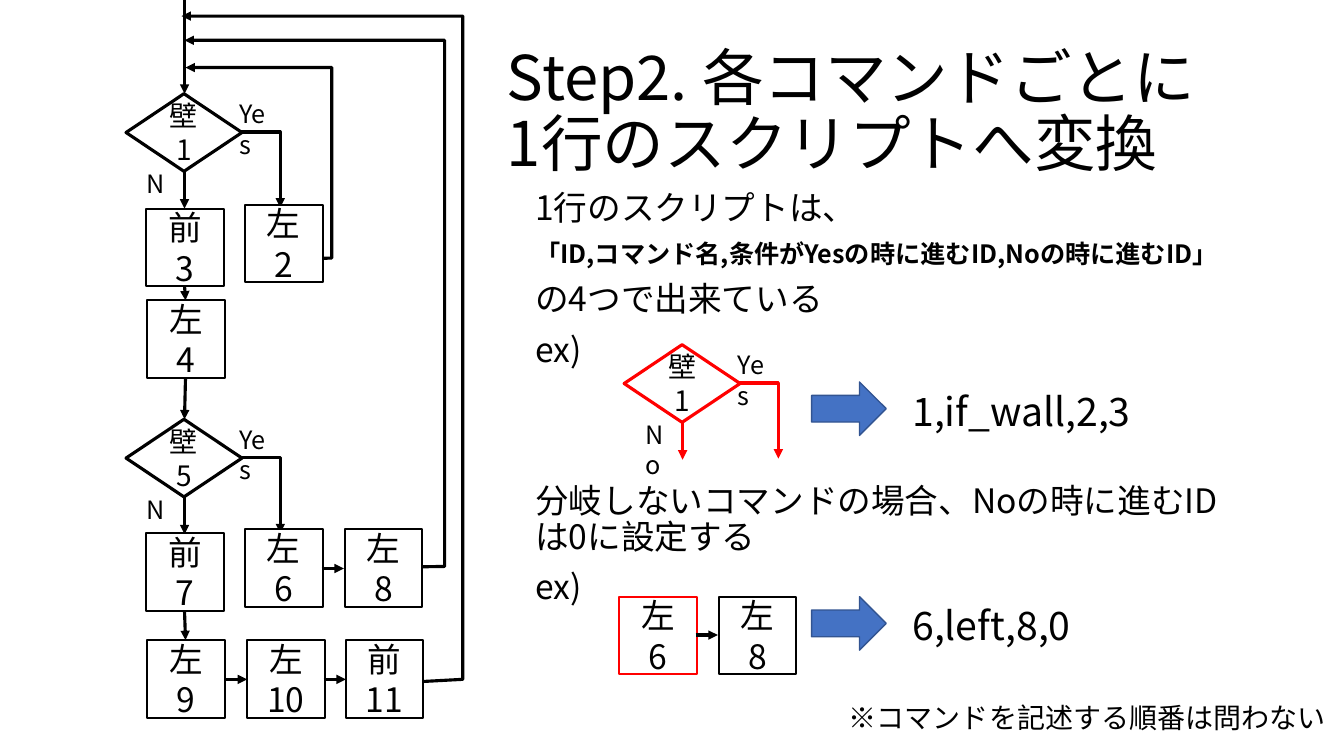
import pptx
import pptx.util
import pptx.dml.color
import pptx.enum.shapes
import pptx.enum.text
import pptx.oxml.ns
import lxml.etree

Inches = pptx.util.Inches
Pt = pptx.util.Pt
RGB = pptx.dml.color.RGBColor
SHAPE = pptx.enum.shapes.MSO_SHAPE
ANCHOR = pptx.enum.text.MSO_ANCHOR
ALIGN = pptx.enum.text.PP_ALIGN
qn = pptx.oxml.ns.qn

BLACK = RGB(0, 0, 0)
WHITE = RGB(255, 255, 255)
RED = RGB(255, 0, 0)
BLUE = RGB(0x44, 0x72, 0xC4)
NAVY = RGB(0x32, 0x54, 0x91)
FONT = "Noto Sans CJK JP"
SIDE = 0.77


def style(para, size, bold=False):
    """Format every run of a paragraph."""
    for run in para.runs:
        font = run.font
        font.size, font.bold, font.name = Pt(size), bold, FONT
        font.color.rgb = BLACK
        east = lxml.etree.SubElement(font._element, qn("a:ea"))
        east.set("typeface", FONT)


def text(slide, x, y, w, h, words, size):
    """Add a wrapped text box and return its frame."""
    frame = slide.shapes.add_textbox(
        Inches(x), Inches(y), Inches(w), Inches(h)).text_frame
    frame.word_wrap = True
    frame.text = words
    for para in frame.paragraphs:
        style(para, size)
    return frame


def shape(slide, kind, x, y, w, h, fill, color, width):
    """Add a filled preset shape."""
    item = slide.shapes.add_shape(
        kind, Inches(x), Inches(y), Inches(w), Inches(h))
    item.shadow.inherit = False
    item.fill.solid()
    item.fill.fore_color.rgb = fill
    item.line.color.rgb = color
    item.line.width = Pt(width)
    return item


def label(item, words, size):
    """Centre the lines of a label in a shape."""
    frame = item.text_frame
    frame.word_wrap = True
    frame.vertical_anchor = ANCHOR.MIDDLE
    frame.text = words
    for para in frame.paragraphs:
        para.alignment = ALIGN.CENTER
        style(para, size)


def tip(line, color):
    """Draw a line with an arrowhead at its end."""
    line.line.color.rgb = color
    line.line.width = Pt(2.25)
    tail = lxml.etree.SubElement(line.line._get_or_add_ln(), qn("a:tailEnd"))
    tail.set("type", "triangle")


def arrow(slide, x1, y1, x2, y2, color=BLACK):
    """Add a straight arrow."""
    line = slide.shapes.add_connector(
        pptx.enum.shapes.MSO_CONNECTOR.STRAIGHT,
        Inches(x1), Inches(y1), Inches(x2), Inches(y2))
    tip(line, color)
    lxml.etree.SubElement(line._element.spPr, qn("a:effectLst"))


def route(slide, points, color=BLACK):
    """Add a bent arrow through the points."""
    spots = [(Inches(x), Inches(y)) for x, y in points]
    pen = slide.shapes.build_freeform(*spots[0])
    pen.add_line_segments(spots[1:], close=False)
    line = pen.convert_to_shape()
    line.shadow.inherit = False
    line.fill.background()
    tip(line, color)


def step(slide, x, y, name, num, color=BLACK):
    """Add a command box."""
    box = shape(slide, SHAPE.RECTANGLE, x, y, SIDE, SIDE, WHITE, color, 1.5)
    label(box, f"{name}\n{num}", 24)


def branch(slide, x, y, num, color=BLACK):
    """Add a wall test with its Yes and No exits."""
    gem = shape(slide, SHAPE.FLOWCHART_DECISION, x, y, 1.15, SIDE,
                WHITE, color, 2.25)
    label(gem, f"壁\n{num}", 20)
    arrow(slide, x + 0.58, y + SIDE, x + 0.58, y + 1.14, color)
    bend = [(x + 1.13, y + 0.38), (x + 1.53, y + 0.38), (x + 1.53, y + 1.13)]
    route(slide, bend, color)
    text(slide, x + 1.03, y, 0.53, 0.4, "Yes", 18)
    text(slide, x + 0.11, y + 0.69, 0.5, 0.4, "No", 18)


def result(slide, y, words):
    """Add a block arrow and the script line it leads to."""
    shape(slide, SHAPE.RIGHT_ARROW, 8.05, y, 0.74, 0.53, BLUE, NAVY, 1)
    text(slide, 8.95, y, 2.8, 0.57, words, 28)


def flow(slide):
    """Draw the flowchart on the left."""
    loops = [
        [(3.48, 6.8), (4.59, 6.74), (4.59, 0.16), (1.8, 0.16)],
        [(3.77, 5.63), (4.41, 5.62), (4.41, 0.4), (1.83, 0.4)],
        [(2.71, 2.58), (3.29, 2.56), (3.29, 0.67), (1.84, 0.67)],
    ]
    for loop in loops:
        route(slide, loop)
    for y, num in ((0.93, 1), (4.16, 5)):
        branch(slide, 1.25, y, num)
    steps = [
        (2.43, 2.03, "左", 2), (1.45, 2.07, "前", 3), (1.46, 2.98, "左", 4),
        (2.43, 5.25, "左", 6), (1.45, 5.29, "前", 7), (3.42, 5.25, "左", 8),
        (1.46, 6.35, "左", 9), (2.45, 6.35, "左", 10), (3.43, 6.35, "前", 11),
    ]
    for item in steps:
        step(slide, *item)
    links = [
        (1.83, 0, 1.83, 0.93), (1.84, 3.75, 1.83, 4.16),
        (1.83, 2.83, 1.84, 2.98), (1.83, 6.06, 1.84, 6.35),
        (2.23, 6.74, 2.45, 6.74), (3.21, 6.74, 3.43, 6.74),
        (3.19, 5.64, 3.41, 5.64),
    ]
    for link in links:
        arrow(slide, *link)


def prose(slide):
    """Write the title, the rules and the closing remark."""
    head = text(slide, 4.93, 0.4, 7.49, 1.45,
                "Step2. 各コマンドごとに\v1行のスクリプトへ変換", 44)
    head.vertical_anchor = ANCHOR.MIDDLE
    head.paragraphs[0].line_spacing = 0.9
    rows = [
        ("1行のスクリプトは、", 24, 10),
        ("「ID,コマンド名,条件がYesの時に進むID,Noの時に進むID」", 18, 10),
        ("の4つで出来ている", 24, 10),
        ("ex)", 24, 10),
        ("分岐しないコマンドの場合、NoのときにID", 24, 82),
        ("ex)", 24, 10),
    ]
    rows[4] = ("分岐しないコマンドの場合、Noの時に進むIDは0に設定する", 24, 82)
    body = text(slide, 5.21, 1.85, 7.06, 4.86,
                "\n".join(row[0] for row in rows), 24)
    for para, (words, size, gap) in zip(body.paragraphs, rows):
        para.line_spacing = 0.9
        para.space_before = Pt(gap)
        para.runs[0].font.size = Pt(size)
        para.runs[0].font.bold = size == 18
    text(slide, 8.32, 6.9, 5.28, 0.44, "※コマンドを記述する順番は問わない", 20)


def main():
    """Build and save the slide."""
    deck = pptx.Presentation()
    deck.slide_width, deck.slide_height = Inches(13.33), Inches(7.5)
    slide = deck.slides.add_slide(deck.slide_layouts[6])
    prose(slide)
    flow(slide)
    branch(slide, 6.19, 3.42, 1, RED)
    result(slide, 3.79, "1,if_wall,2,3")
    step(slide, 6.14, 5.92, "左", 6, RED)
    step(slide, 7.13, 5.92, "左", 8)
    arrow(slide, 6.9, 6.3, 7.12, 6.3)
    result(slide, 5.92, "6,left,8,0")
    deck.save("out.pptx")


main()
